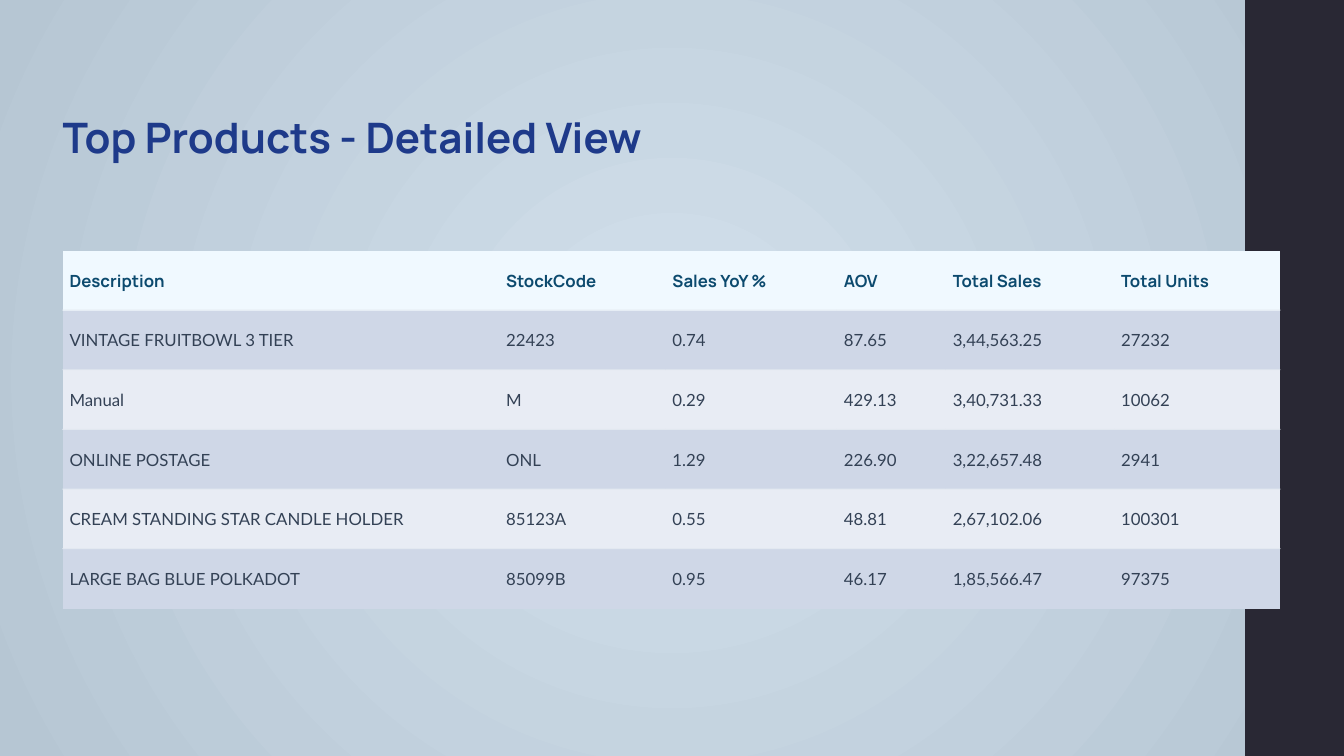
from itertools import accumulate

from lxml.etree import SubElement
from pptx import Presentation
from pptx.dml.color import RGBColor
from pptx.enum.shapes import MSO_SHAPE
from pptx.enum.text import MSO_ANCHOR, PP_ALIGN
from pptx.oxml.ns import qn
from pptx.util import Inches, Pt

# Content
TITLE = "Top Products - Detailed View"
ROWS = [
    ("Description", "StockCode", "Sales YoY %", "AOV", "Total Sales", "Total Units"),
    ("VINTAGE FRUITBOWL 3 TIER", "22423", "0.74", "87.65", "3,44,563.25", "27232"),
    ("Manual", "M", "0.29", "429.13", "3,40,731.33", "10062"),
    ("ONLINE POSTAGE", "ONL", "1.29", "226.90", "3,22,657.48", "2941"),
    ("CREAM STANDING STAR CANDLE HOLDER", "85123A", "0.55", "48.81", "2,67,102.06", "100301"),
    ("LARGE BAG BLUE POLKADOT", "85099B", "0.95", "46.17", "1,85,566.47", "97375"),
]

# Layout in inches
SLIDE_W, SLIDE_H = 13.33, 7.5
SIDEBAR_X = 12.35
LEFT, TABLE_TOP, TABLE_H = 0.62, 2.49, 3.55
COL_WIDTHS = [4.33, 1.65, 1.7, 1.08, 1.67, 1.65]
ROW_H = TABLE_H / len(ROWS)
RULE_H = 0.01
BAND_FILLS = ["E8ECF4", "CFD7E7"]


def color(value):
    return RGBColor.from_string(value)


def format_text(p, size, font, hex_color, bold):
    for r in p.runs:
        r.font.size, r.font.name, r.font.bold = Pt(size), font, bold
        r.font.color.rgb = color(hex_color)


def add_rect(s, x, y, w, h, fill):
    sp = s.shapes.add_shape(MSO_SHAPE.RECTANGLE, Inches(x), Inches(y), Inches(w), Inches(h))
    sp.shadow.inherit = False
    sp.fill.solid()
    sp.fill.fore_color.rgb = color(fill)
    sp.line.fill.background()


def set_radial_background(s, inner, outer):
    fill = s.background.fill
    fill.gradient()
    for stop, value in zip(fill.gradient_stops, (inner, outer)):
        stop.color.rgb = color(value)
    grad = s.element.find(".//" + qn("a:gradFill"))
    grad.remove(grad.find(qn("a:lin")))
    circle = SubElement(grad, qn("a:path"), {"path": "circle"})
    SubElement(circle, qn("a:fillToRect"), {side: "100000" for side in "ltrb"})


def hide_borders(cell):
    # Border elements must come before the cell fill
    props = cell.fill._xPr
    for position, side in enumerate("LRTB"):
        border = SubElement(props, qn("a:ln" + side), {"w": "0"})
        SubElement(border, qn("a:noFill"))
        props.insert(position, border)


prs = Presentation()
prs.slide_width, prs.slide_height = Inches(SLIDE_W), Inches(SLIDE_H)
s = prs.slides.add_slide(prs.slide_layouts[5])

# Background and sidebar
set_radial_background(s, "D2E0EC", "B6C6D3")
add_rect(s, SIDEBAR_X, 0, SLIDE_W - SIDEBAR_X, SLIDE_H, "292834")

# Title
title = s.shapes.title
title.left, title.top = Inches(LEFT), Inches(1.11)
title.width, title.height = Inches(12.69), Inches(0.62)
tf = title.text_frame
tf.text = TITLE
tf.margin_left = tf.margin_top = tf.margin_right = tf.margin_bottom = 0
tf.vertical_anchor = MSO_ANCHOR.TOP
tf.paragraphs[0].alignment = PP_ALIGN.LEFT
format_text(tf.paragraphs[0], 30, "Manrope", "1E3A8A", True)

# Product table
table = s.shapes.add_table(len(ROWS), len(COL_WIDTHS), Inches(LEFT), Inches(TABLE_TOP),
                           Inches(sum(COL_WIDTHS)), Inches(TABLE_H)).table
for column, width in zip(table.columns, COL_WIDTHS):
    column.width = Inches(width)
for i, values in enumerate(ROWS):
    table.rows[i].height = Inches(ROW_H)
    for j, value in enumerate(values):
        cell = table.cell(i, j)
        cell.text_frame.text = value
        cell.vertical_anchor = MSO_ANCHOR.MIDDLE
        cell.margin_left = cell.margin_right = Inches(0.07)
        cell.margin_top = cell.margin_bottom = Inches(0.03)
        cell.fill.solid()
        cell.fill.fore_color.rgb = color(BAND_FILLS[i % 2] if i else "F0F9FF")
        hide_borders(cell)
        p = cell.text_frame.paragraphs[0]
        if i == 0:
            format_text(p, 12, "Manrope", "0C4A6E", True)
        else:
            format_text(p, 12, "Lato", "334155", False)

# Thin rules at the foot of every row but the last
col_lefts = list(accumulate(COL_WIDTHS[:-1], initial=LEFT))
for i in range(1, len(ROWS)):
    for x, width in zip(col_lefts, COL_WIDTHS):
        add_rect(s, x, TABLE_TOP + i * ROW_H - RULE_H, width, RULE_H, "E2E8F0")

prs.save("out.pptx")
